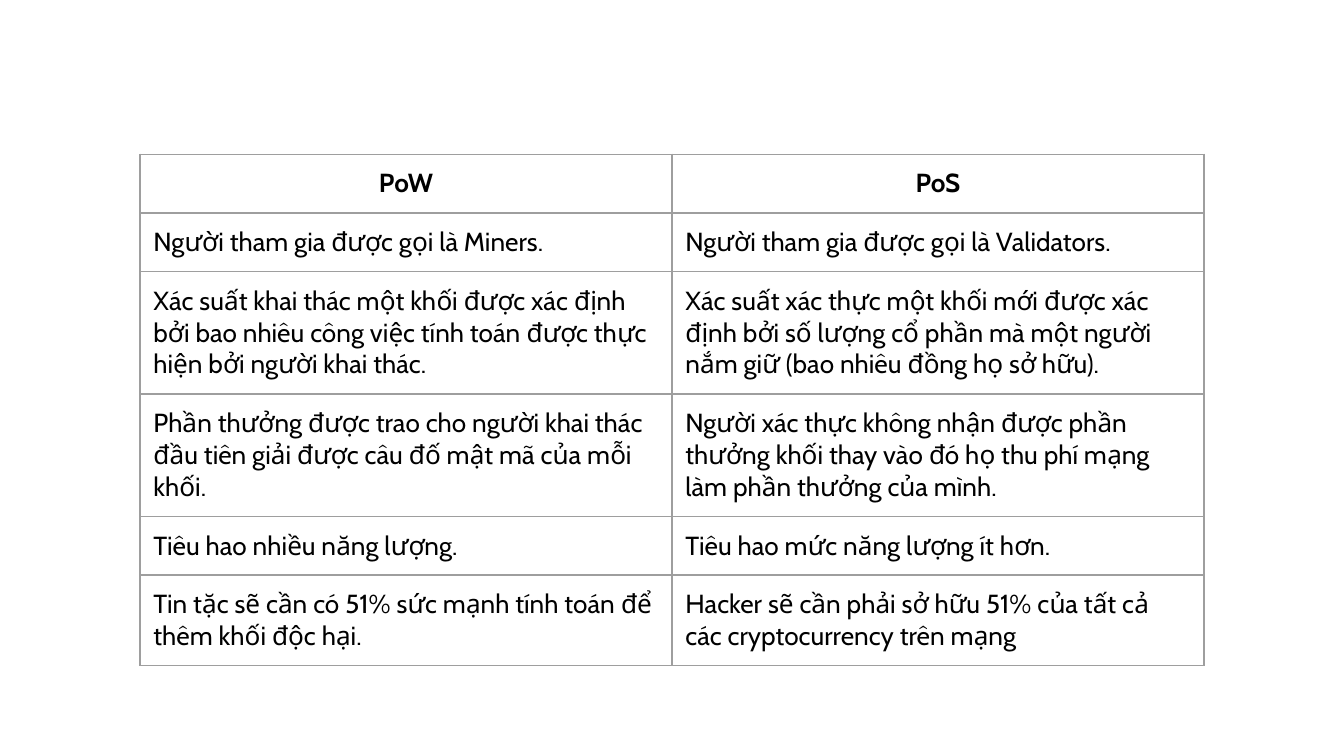
"""Build a slide with a table that compares PoW and PoS."""
from lxml.etree import SubElement
from pptx import Presentation
from pptx.dml.color import RGBColor
from pptx.enum.text import PP_ALIGN as Align
from pptx.oxml.ns import qn
from pptx.util import Pt

COLORS = {"text": "000000", "border": "9E9E9E", "background": "FFFFFF"}
FONT = "Cabin"
ROW_HEIGHT = Pt(30.2)
COLUMN_WIDTH = Pt(285)
ROWS = [
    ("PoW", "PoS"),
    ("Người tham gia được gọi là Miners.",
     "Người tham gia được gọi là Validators."),
    ("Xác suất khai thác một khối được xác định bởi bao nhiêu công việc "
     "tính toán được thực hiện bởi người khai thác.",
     "Xác suất xác thực một khối mới được xác định bởi số lượng cổ phần "
     "mà một người nắm giữ (bao nhiêu đồng họ sở hữu)."),
    ("Phần thưởng được trao cho người khai thác đầu tiên giải được câu đố "
     "mật mã của mỗi khối.",
     "Người xác thực không nhận được phần thưởng khối thay vào đó họ thu "
     "phí mạng làm phần thưởng của mình."),
    ("Tiêu hao nhiều năng lượng.", "Tiêu hao mức năng lượng ít hơn."),
    ("Tin tặc sẽ cần có 51% sức mạnh tính toán để thêm khối độc hại.",
     "Hacker sẽ cần phải sở hữu 51% của tất cả các cryptocurrency trên mạng"),
]


def set_borders(cell):
    properties = cell._tc.get_or_add_tcPr()
    for side in ("lnL", "lnR", "lnT", "lnB"):
        line = SubElement(properties, qn(f"a:{side}"), w=str(Pt(0.75)))
        fill = SubElement(line, qn("a:solidFill"))
        SubElement(fill, qn("a:srgbClr"), val=COLORS["border"])


def format_cell(cell, text, is_header):
    set_borders(cell)
    cell.fill.background()
    cell.margin_left = cell.margin_right = Pt(7.2)
    cell.margin_top = cell.margin_bottom = Pt(7.2)
    cell.text_frame.text = text
    para = cell.text_frame.paragraphs[0]
    para.alignment = Align.CENTER if is_header else Align.LEFT
    font = para.runs[0].font
    font.name = FONT
    font.size = Pt(14)
    font.bold = is_header
    font.color.rgb = RGBColor.from_string(COLORS["text"])


def add_comparison(page):
    frame = page.shapes.add_table(
        len(ROWS), len(ROWS[0]), Pt(75), Pt(82.6),
        COLUMN_WIDTH * len(ROWS[0]), ROW_HEIGHT * len(ROWS))
    table = frame.table
    table.first_row = table.horz_banding = False
    for row_index, texts in enumerate(ROWS):
        for column_index, text in enumerate(texts):
            format_cell(table.cell(row_index, column_index), text, row_index == 0)


def main():
    deck = Presentation()
    deck.slide_width, deck.slide_height = Pt(720), Pt(405)
    page = deck.slides.add_slide(deck.slide_layouts.get_by_name("Blank"))
    page.background.fill.solid()
    page.background.fill.fore_color.rgb = RGBColor.from_string(COLORS["background"])
    add_comparison(page)
    deck.save("out.pptx")


if __name__ == "__main__":
    main()
